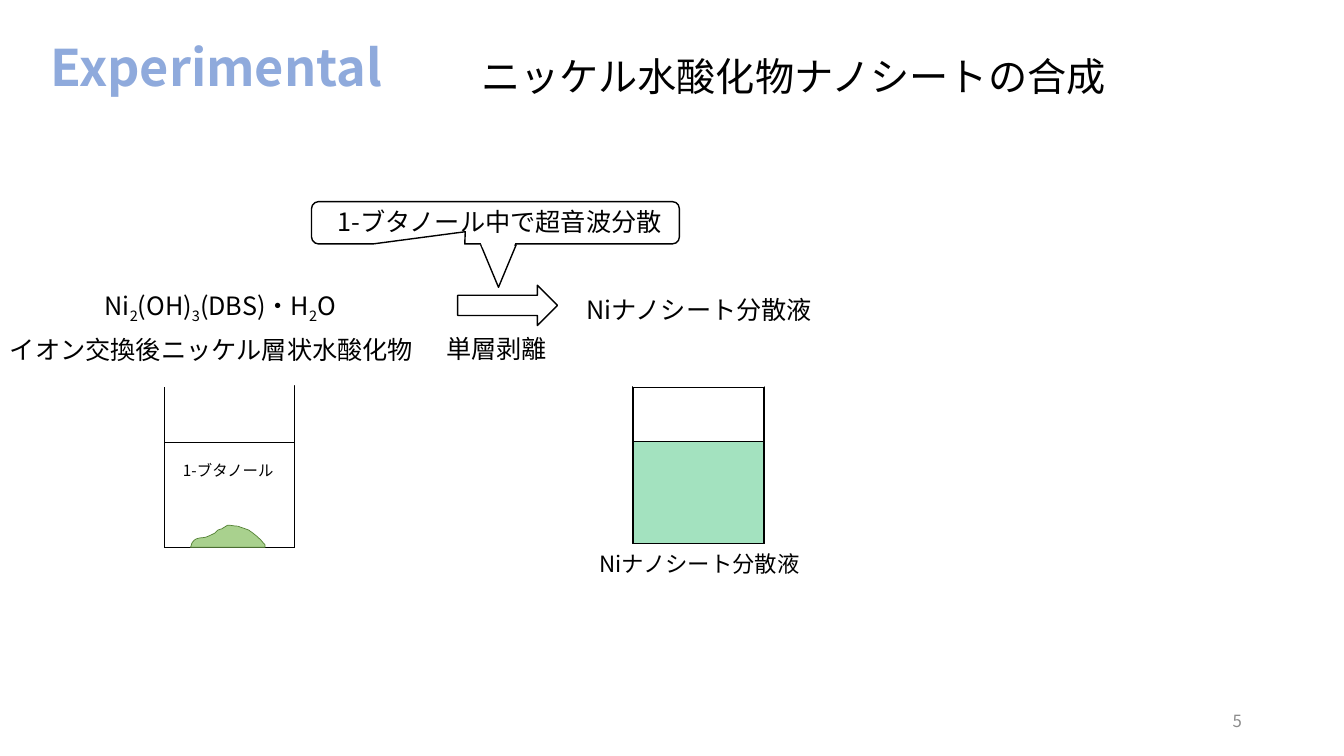
import pptx
import pptx.util
import pptx.dml.color
import pptx.enum.shapes
import pptx.enum.text
import pptx.oxml
import pptx.oxml.ns

CELL = 0.1
FONT = "Noto Sans CJK JP"
HUES = {
    "ink": "000000",
    "paper": "FFFFFF",
    "title": "8FAADC",
    "page": "8C8C8C",
    "pile": "A9D18E",
    "edge": "548235",
    "sol": "00B050",
}
FORM = pptx.enum.shapes.MSO_SHAPE
ALIGN = pptx.enum.text.PP_ALIGN
ANCHOR = pptx.enum.text.MSO_ANCHOR
PILE = [
    (18.9, 54.3),
    (19, 54.1), (19, 53.9), (19.1, 53.8),
    (19.4, 53.3), (19.9, 53.4), (20.4, 53.3),
    (20.7, 53.2), (21.3, 52.9), (21.3, 52.9),
    (21.4, 52.8), (21.5, 52.7), (21.6, 52.6),
    (21.8, 52.5), (22, 52.5), (22.1, 52.4),
    (22.3, 52.3), (22.4, 52.2), (22.6, 52.1),
    (22.9, 52.1), (23.2, 52.2), (23.6, 52.2),
    (24.1, 52.4), (24.2, 52.4), (24.7, 52.6),
    (24.8, 52.7), (25, 52.8), (25.1, 52.9),
    (25.5, 53.2), (25.7, 53.4), (25.9, 53.6),
    (26.3, 54.1), (26.3, 53.9), (26.3, 54.3),
]


def grid(*cells):
    return [pptx.util.Inches(cell * CELL) for cell in cells]


def hue(name):
    return pptx.dml.color.RGBColor.from_string(HUES[name])


def add_node(base, tag, **attrs):
    node = pptx.oxml.ns.qn(tag)
    child = base.makeelement(node, attrs)
    base.append(child)
    return child


def add_run(para, text, size, tint="ink", bold=False, low=False):
    run = para.add_run()
    run.text = text
    font = run.font
    font.name, font.size, font.bold = FONT, pptx.util.Pt(size), bold
    font.color.rgb = hue(tint)
    props = font._element
    add_node(props, "a:ea", typeface=FONT)
    if low:
        props.set("baseline", "-25000")


def label(slide, box, runs, size, tint="ink", align=ALIGN.LEFT, wrap=True,
          anchor=ANCHOR.TOP):
    frame = slide.shapes.add_textbox(*grid(*box)).text_frame
    frame.word_wrap = wrap
    frame.vertical_anchor = anchor
    para = frame.paragraphs[0]
    para.alignment = align
    for text, low in runs:
        add_run(para, text, size, tint, low=low)


def paint(shape, fill=None, line="ink", width=1, alpha=None):
    shape.shadow.inherit = False
    if fill:
        shape.fill.solid()
        shape.fill.fore_color.rgb = hue(fill)
    else:
        shape.fill.background()
    if alpha:
        shade = shape.fill._xPr.find(".//" + pptx.oxml.ns.qn("a:srgbClr"))
        add_node(shade, "a:alpha", val=str(alpha * 1000))
    shape.line.color.rgb = hue(line)
    shape.line.width = pptx.util.Pt(width)


def block(slide, form, box, adjust=(), turn=0, **look):
    shape = slide.shapes.add_shape(form, *grid(*box))
    for index, value in enumerate(adjust):
        shape.adjustments[index] = value
    shape.rotation = turn
    paint(shape, **look)


def rim(slide, left, top, wide):
    kind = pptx.enum.shapes.MSO_CONNECTOR.STRAIGHT
    line = slide.shapes.add_connector(kind, *grid(left, top, left + wide, top))
    line.line.color.rgb = hue("paper")
    line.line.width = pptx.util.Pt(2)
    add_node(line._element.spPr, "a:effectLst")


def beaker(slide, left, top, wide, high, depth, fill, alpha):
    block(slide, FORM.RECTANGLE, (left, top, wide, high), fill="paper")
    block(slide, FORM.RECTANGLE, (left, top + high - depth, wide, depth),
          fill=fill, alpha=alpha)
    rim(slide, left, 38.3, wide)


def bend(knots, steps=6):
    spots = [knots[0]]
    for first in range(0, len(knots) - 1, 3):
        arc = knots[first:first + 4]
        for step in range(1, steps + 1):
            t = step / steps
            parts = ((1 - t) ** 3, 3 * t * (1 - t) ** 2,
                     3 * t * t * (1 - t), t ** 3)
            spots.append(tuple(sum(part * knot[axis] for part, knot
                                   in zip(parts, arc)) for axis in (0, 1)))
    return spots


def heap(slide):
    spots = [grid(*spot) for spot in bend(PILE)]
    pen = slide.shapes.build_freeform(*spots[0])
    pen.add_line_segments(spots[1:], close=True)
    paint(pen.convert_to_shape(), "pile", "edge", 0.5)


def head(slide):
    title = slide.shapes.title
    title.left, title.top, title.width, title.height = grid(4, 3.5, 44.7, 7)
    frame = title.text_frame
    frame.vertical_anchor = ANCHOR.MIDDLE
    para = frame.paragraphs[0]
    para.alignment = ALIGN.LEFT
    para.line_spacing = 0.9
    add_run(para, "Experimental", 36, "title", bold=True)


def callout(slide):
    block(slide, FORM.ROUNDED_RECTANGULAR_CALLOUT, (30.9, 20, 36.5, 4.2),
          (-0.082, 0.212, 0.167))
    block(slide, FORM.ISOSCELES_TRIANGLE, (47.7, 24.3, 3.5, 4.2), turn=180)
    block(slide, FORM.TRAPEZOID, (47.6, 23.7, 3.6, 0.8), (0.416,), 180,
          fill="paper", line="paper")


def main():
    deck = pptx.Presentation()
    deck.slide_width, deck.slide_height = grid(133.33, 75)
    slide = deck.slides.add_slide(deck.slide_layouts[5])
    head(slide)
    label(slide, (94.2, 69.5, 30, 4), [("5", False)], 12, "page",
          ALIGN.RIGHT, anchor=ANCHOR.MIDDLE)
    label(slide, (34.8, 4.7, 87.8, 5.7),
          [("ニッケル水酸化物ナノシートの合成", False)], 28, align=ALIGN.CENTER)
    label(slide, (29.1, 20, 40.9, 4),
          [("1-ブタノール中で超音波分散", False)], 18, align=ALIGN.CENTER)
    label(slide, (9.4, 28.3, 28.7, 4),
          [("Ni", False), ("2", True), ("(OH)", False), ("3", True),
           ("(DBS)・H", False), ("2", True), ("O", False)], 18, wrap=False)
    label(slide, (0, 32.7, 42.4, 4),
          [("イオン交換後ニッケル層状水酸化物", False)], 18, wrap=False)
    block(slide, FORM.RIGHT_ARROW, (45.4, 28.3, 9.9, 4))
    callout(slide)
    sheet = [("Niナノシート分散液", False)]
    label(slide, (57.2, 28.7, 24.8, 4), sheet, 18)
    beaker(slide, 16.3, 38.3, 12.9, 16, 10.4, "paper", 10)
    heap(slide)
    label(slide, (16.3, 45.3, 12.7, 2.9), [("1-ブタノール", False)], 11,
          align=ALIGN.CENTER)
    beaker(slide, 62.8, 38.4, 13, 15.5, 10.1, "sol", 36)
    label(slide, (58.5, 54.1, 22.2, 3.7), sheet, 16)
    label(slide, (43.3, 32.6, 12.1, 4), [("単層剥離", False)], 18, wrap=False)
    deck.save("out.pptx")


if __name__ == "__main__":
    main()
